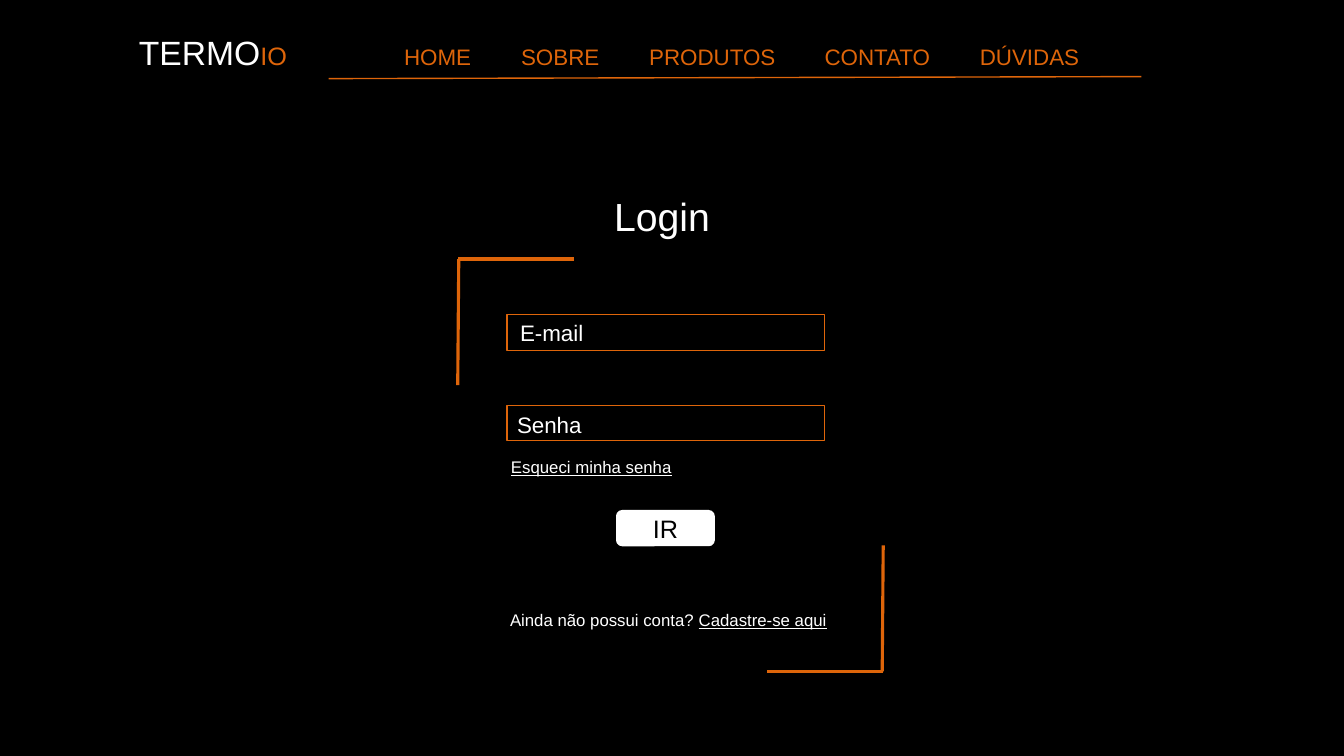
from dataclasses import dataclass

from lxml import etree
from pptx import Presentation
from pptx.dml.color import RGBColor
from pptx.enum.shapes import MSO_CONNECTOR, MSO_SHAPE
from pptx.enum.text import MSO_ANCHOR, MSO_AUTO_SIZE, PP_ALIGN
from pptx.oxml.ns import qn
from pptx.util import Inches, Pt

RECTANGLE = MSO_SHAPE.RECTANGLE
ROUNDED = MSO_SHAPE.ROUNDED_RECTANGLE
STRAIGHT = MSO_CONNECTOR.STRAIGHT
TOP, MIDDLE = MSO_ANCHOR.TOP, MSO_ANCHOR.MIDDLE
LEFT, CENTER = PP_ALIGN.LEFT, PP_ALIGN.CENTER
NO_AUTOFIT = MSO_AUTO_SIZE.NONE

FONT = "Arial"
COLORS = {"black": "000000", "white": "FFFFFF", "orange": "DE650A"}


@dataclass(frozen=True)
class TextRun:
    text: str
    size: float
    color: str = "white"
    underline: bool = False


@dataclass(frozen=True)
class Label:
    box: tuple[float, float, float, float]
    runs: tuple[TextRun, ...]
    tabs: tuple[float, ...] = ()


@dataclass(frozen=True)
class Rule:
    start: tuple[float, float]
    end: tuple[float, float]
    width: float = 2.25


MENU = ("HOME", "SOBRE", "PRODUTOS", "CONTATO", "DÚVIDAS")
MENU_TABS = (2.63, 3.79, 5.06, 6.8, 8.34)
LOGIN = Label((5.99, 1.86, 1.39, 0.57), (TextRun("Login", 28),))
BUTTON_RUN = TextRun("IR", 18, "black")
BUTTON_BOX = (6.11, 5.06, 0.98, 0.36)
FIELD_BOXES = ((5.03, 3.12, 3.15, 0.36), (5.03, 4.02, 3.15, 0.35))
LABELS = (
    Label(
        (1.28, 0.27, 11.72, 0.5),
        (
            TextRun("TERMO", 24),
            TextRun("IO", 18, "orange"),
            TextRun("".join(f"\t{item}" for item in MENU), 16, "orange"),
        ),
        MENU_TABS,
    ),
    Label((5.06, 3.12, 3.07, 0.37), (TextRun("E-mail", 16),)),
    Label((5.03, 4.03, 3.07, 0.37), (TextRun("Senha", 16),)),
    Label((4.97, 4.48, 3, 0.3), (TextRun("Esqueci minha senha", 12, underline=True),)),
    Label(
        (4.96, 6, 5.89, 0.3),
        (
            TextRun("Ainda não possui conta? ", 12),
            TextRun("Cadastre-se aqui", 12, underline=True),
        ),
    ),
)
RULES = (
    Rule((4.55, 2.57), (4.54, 3.82)),
    Rule((5.69, 2.57), (4.54, 2.57)),
    Rule((8.76, 5.41), (8.75, 6.66)),
    Rule((8.76, 6.66), (7.61, 6.66)),
    Rule((3.26, 0.78), (11.32, 0.76), 1),
)


def color(name: str) -> RGBColor:
    return RGBColor.from_string(COLORS[name])


def apply_format(target, values: dict) -> None:
    for name, value in values.items():
        setattr(target, name, value)


def add_runs(paragraph, runs: tuple[TextRun, ...]) -> None:
    for text_run in runs:
        run = paragraph.add_run()
        run.text = text_run.text
        apply_format(
            run.font,
            {
                "name": FONT,
                "size": Pt(text_run.size),
                "bold": False,
                "underline": text_run.underline,
            },
        )
        run.font.color.rgb = color(text_run.color)


def add_tabs(paragraph, positions: tuple[float, ...]) -> None:
    properties = paragraph._p.get_or_add_pPr()
    tab_list = etree.SubElement(properties, qn("a:tabLst"))
    for position in positions:
        etree.SubElement(tab_list, qn("a:tab"), pos=str(int(Inches(position))), algn="l")


def fill_label(shape, label: Label) -> None:
    frame = shape.text_frame
    apply_format(
        frame,
        {"word_wrap": True, "auto_size": NO_AUTOFIT, "vertical_anchor": TOP},
    )
    paragraph = frame.paragraphs[0]
    paragraph.alignment = LEFT
    if label.tabs:
        add_tabs(paragraph, label.tabs)
    add_runs(paragraph, label.runs)


def add_title(slide, label: Label) -> None:
    title = slide.shapes.title
    names = ("left", "top", "width", "height")
    apply_format(title, dict(zip(names, map(Inches, label.box))))
    fill_label(title, label)


def add_label(slide, label: Label) -> None:
    fill_label(slide.shapes.add_textbox(*map(Inches, label.box)), label)


def add_field(slide, box: tuple[float, float, float, float]) -> None:
    shape = slide.shapes.add_shape(RECTANGLE, *map(Inches, box))
    shape.shadow.inherit = False
    shape.fill.background()
    shape.line.color.rgb = color("orange")
    shape.line.width = Pt(1)


def add_button(slide) -> None:
    shape = slide.shapes.add_shape(ROUNDED, *map(Inches, BUTTON_BOX))
    shape.shadow.inherit = False
    shape.fill.solid()
    shape.fill.fore_color.rgb = color("white")
    shape.line.fill.background()
    shape.text_frame.vertical_anchor = MIDDLE
    paragraph = shape.text_frame.paragraphs[0]
    paragraph.alignment = CENTER
    add_runs(paragraph, (BUTTON_RUN,))


def add_rule(slide, rule: Rule) -> None:
    connector = slide.shapes.add_connector(
        STRAIGHT, *map(Inches, (*rule.start, *rule.end))
    )
    connector.line.color.rgb = color("orange")
    connector.line.width = Pt(rule.width)
    etree.SubElement(connector._element.spPr, qn("a:effectLst"))


def main() -> None:
    presentation = Presentation()
    presentation.slide_width = Inches(13.33)
    presentation.slide_height = Inches(7.5)
    title_only = presentation.slide_layouts.get_by_name("Title Only")
    slide = presentation.slides.add_slide(title_only)
    slide.background.fill.solid()
    slide.background.fill.fore_color.rgb = color("black")

    add_title(slide, LOGIN)
    for box in FIELD_BOXES:
        add_field(slide, box)
    add_button(slide)
    for rule in RULES:
        add_rule(slide, rule)
    for label in LABELS:
        add_label(slide, label)
    presentation.save("out.pptx")


if __name__ == "__main__":
    main()
